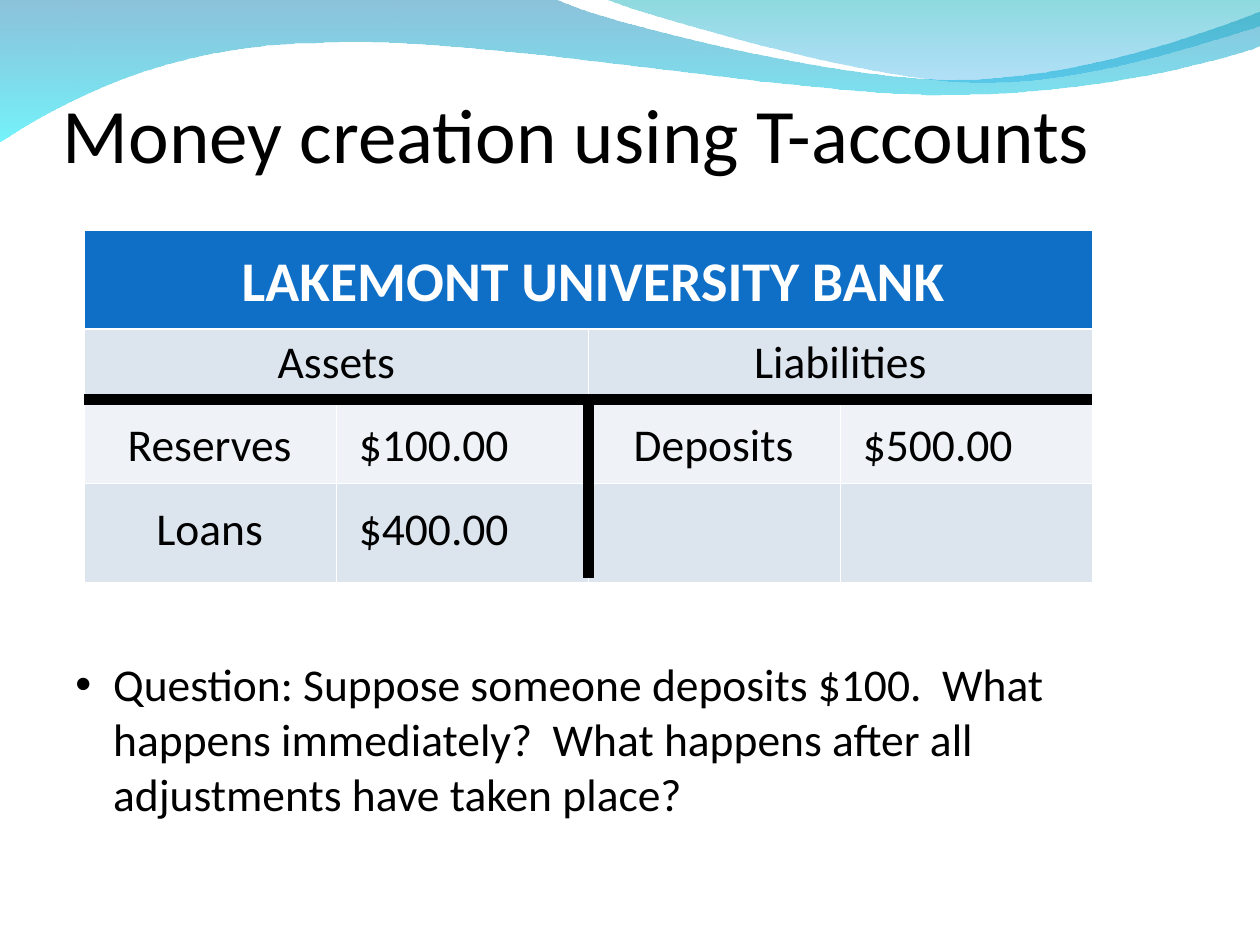
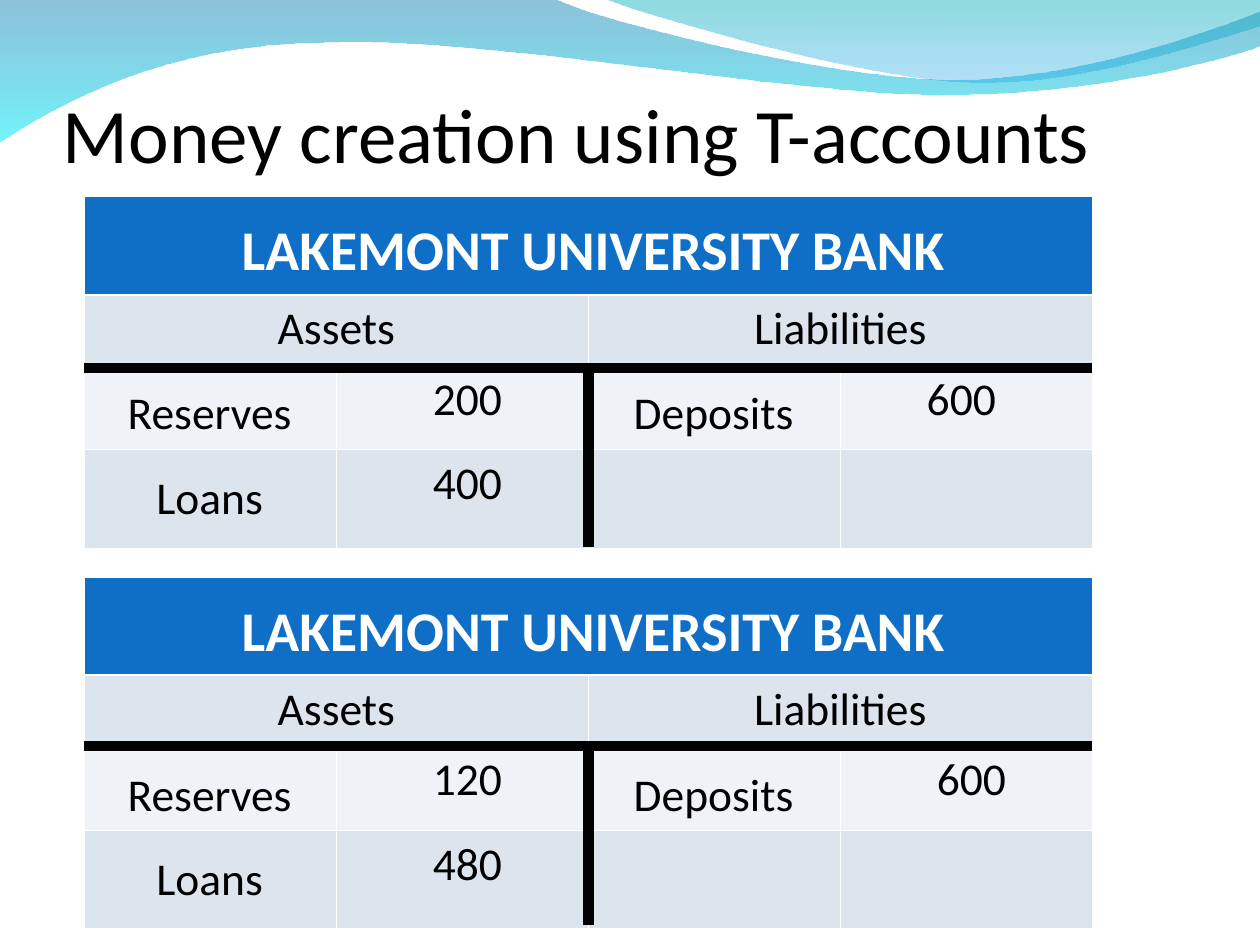
from lxml import etree
from pptx import Presentation
from pptx.dml.color import RGBColor
from pptx.enum.shapes import MSO_CONNECTOR
from pptx.enum.text import MSO_ANCHOR, PP_ALIGN
from pptx.oxml.ns import qn
from pptx.util import Inches, Pt

LEFT, CENTER = PP_ALIGN.LEFT, PP_ALIGN.CENTER
TOP, BOTTOM = MSO_ANCHOR.TOP, MSO_ANCHOR.BOTTOM
STRAIGHT = MSO_CONNECTOR.STRAIGHT

BLACK = RGBColor(0x00, 0x00, 0x00)
WHITE = RGBColor(0xFF, 0xFF, 0xFF)
HEADER_BLUE = RGBColor(0x0F, 0x6F, 0xC6)
BAND_DARK = RGBColor(0xDC, 0xE5, 0xEE)
BAND_LIGHT = RGBColor(0xEF, 0xF3, 0xF7)
FONT = "Calibri"
BODY_SIZE = 26

TITLE = "Money creation using T-accounts"
BANK = "LAKEMONT UNIVERSITY BANK"
QUESTION = (
    "Question: Suppose someone deposits $100.  What happens immediately?  "
    "What happens after all adjustments have taken place?"
)
ENTRY_LABELS = [("Reserves", 0, 0), ("Loans", 0, 1), ("Deposits", 2, 0)]

SLIDES = [
    {
        "accounts": [
            {
                "table_top": 1.83, "rule_top": 3.17, "label_top": 3.25,
                "overlay_amounts": [("$100.00", 1, 0), ("$400.00", 1, 1), ("$500.00", 3, 0)],
            },
        ],
        "question": QUESTION,
    },
    {
        "accounts": [
            {
                "table_top": 1.56, "rule_top": 2.92, "label_top": 3.0,
                "cell_amounts": [("200", 1, 0, 0.04), ("400", 1, 1, 0.04), ("600", 3, 0, -0.04)],
            },
            {
                "table_top": 4.58, "rule_top": 5.92, "label_top": 6.03,
                "cell_amounts": [("120", 1, 0, 0.04), ("480", 1, 1, 0.04), ("600", 3, 0, 0.04)],
            },
        ],
    },
]

TABLE_LEFT, COLUMN_WIDTH, COLUMN_COUNT = 0.67, 2, 4
ROW_HEIGHTS = [0.78, 0.56, 0.67, 0.78]
ROW_FILLS = [HEADER_BLUE, BAND_DARK, BAND_LIGHT, BAND_DARK]
THIN, THICK = 0.45, 1.47
RULE_LENGTH = 1.42
CELL_MARGIN = 0.1

WAVES = [
    {
        "start": (0, -0.01),
        "segments": [
            [(4.4, -0.01)],
            [(4.76, 0.17), (6.64, 0.63), (7.58, 0.63)],
            [(8.53, 0.63), (9.58, 0.26), (10, 0.09)],
            [(10.01, 0.36)],
            [(9.83, 0.44), (8.7, 0.76), (7.46, 0.75)],
            [(6.22, 0.75), (3.82, 0.28), (2.57, 0.34)],
            [(1.29, 0.35), (0.46, 0.83), (-0.01, 1.13)],
        ],
        "stops": [(RGBColor(0x00, 0x79, 0xAF), 45), (RGBColor(0x00, 0xEB, 0xF8), 55)],
    },
    {
        "start": (4.79, -0.01),
        "segments": [
            [(5.09, 0.11), (6.82, 0.62), (7.69, 0.65)],
            [(8.56, 0.69), (9.61, 0.32), (10, 0.21)],
            [(10, 0)],
        ],
        "stops": [(RGBColor(0x00, 0xAD, 0xB6), 45), (RGBColor(0x00, 0x9B, 0xE5), 30)],
    },
]


def bend_segments(shape, segments):
    lines = list(shape._element.spPr.iter(qn("a:lnTo")))
    for line, segment in zip(lines, segments):
        if len(segment) == 1:
            continue
        curve = etree.Element(qn("a:cubicBezTo"))
        for x, y in segment:
            etree.SubElement(curve, qn("a:pt"), x=str(Inches(x) - shape.left),
                             y=str(Inches(y) - shape.top))
        line.getparent().replace(line, curve)


def add_wave(slide, wave):
    builder = slide.shapes.build_freeform(*map(Inches, wave["start"]))
    ends = [(Inches(x), Inches(y)) for *_, (x, y) in wave["segments"]]
    builder.add_line_segments(ends, close=True)
    shape = builder.convert_to_shape()
    bend_segments(shape, wave["segments"])
    shape.shadow.inherit = False
    shape.line.fill.background()
    shape.fill.gradient()
    shape.fill.gradient_angle = 270
    for stop, (color, _) in zip(shape.fill.gradient_stops, wave["stops"]):
        stop.color.rgb = color
    colors = shape._element.spPr.iter(qn("a:srgbClr"))
    for color_element, (_, opacity) in zip(colors, wave["stops"]):
        etree.SubElement(color_element, qn("a:alpha"), val=str(opacity * 1000))


def write_text(text_frame, text, size=BODY_SIZE, color=BLACK, bold=False, align=LEFT):
    text_frame.text = text
    paragraph = text_frame.paragraphs[0]
    paragraph.alignment = align
    font = paragraph.runs[0].font
    font.name, font.size, font.bold = FONT, Pt(size), bold
    font.color.rgb = color
    return paragraph


def add_text(slide, text, left, top, width, height, anchor=TOP, **style):
    box = slide.shapes.add_textbox(Inches(left), Inches(top), Inches(width), Inches(height))
    text_frame = box.text_frame
    text_frame.word_wrap = True
    text_frame.vertical_anchor = anchor
    return text_frame, write_text(text_frame, text, **style)


def add_title(slide):
    text_frame, _ = add_text(slide, TITLE, 0.5, 0.77, 9, 0.65, anchor=BOTTOM, size=44)
    text_frame.margin_left = text_frame.margin_right = text_frame.margin_bottom = 0


def add_question(slide, question):
    text_frame, paragraph = add_text(slide, question, 0.5, 1.5, 9, 5.42)
    text_frame.margin_top = Inches(3.71)
    properties = paragraph._p.get_or_add_pPr()
    properties.set("marL", str(Inches(0.3)))
    properties.set("indent", str(-Inches(0.3)))
    etree.SubElement(properties, qn("a:buFont"), typeface="Arial")
    etree.SubElement(properties, qn("a:buChar"), char="•")


def set_borders(cell, row):
    widths = {
        "a:lnL": THIN,
        "a:lnR": THIN,
        "a:lnT": THICK if row == 1 else THIN,
        "a:lnB": THICK if row == 0 else THIN,
    }
    properties = cell._tc.get_or_add_tcPr()
    for position, (tag, width) in enumerate(widths.items()):
        line = etree.Element(qn(tag), w=str(Pt(width)))
        fill = etree.SubElement(line, qn("a:solidFill"))
        etree.SubElement(fill, qn("a:srgbClr"), val=str(WHITE))
        properties.insert(position, line)


def add_account_table(slide, account):
    frame = slide.shapes.add_table(
        len(ROW_HEIGHTS), COLUMN_COUNT, Inches(TABLE_LEFT), Inches(account["table_top"]),
        Inches(COLUMN_WIDTH * COLUMN_COUNT), Inches(sum(ROW_HEIGHTS)),
    )
    table = frame.table
    table.first_row = table.horz_banding = False
    for row, (height, color) in enumerate(zip(ROW_HEIGHTS, ROW_FILLS)):
        table.rows[row].height = Inches(height)
        for column in range(COLUMN_COUNT):
            cell = table.cell(row, column)
            cell.fill.solid()
            cell.fill.fore_color.rgb = color
            set_borders(cell, row)
    table.cell(0, 0).merge(table.cell(0, 3))
    for heading, column in (("Assets", 0), ("Liabilities", 2)):
        table.cell(1, column).merge(table.cell(1, column + 1))
        write_text(table.cell(1, column).text_frame, heading, align=CENTER)
    for amount, column, entry, shift in account.get("cell_amounts", []):
        cell = table.cell(entry + 2, column)
        cell.margin_left = Inches(CELL_MARGIN + shift)
        cell.margin_right = Inches(CELL_MARGIN - shift)
        write_text(cell.text_frame, amount, align=CENTER)


def add_overlay_entries(slide, account, entries, align):
    for text, column, entry in entries:
        left = 0.75 + column * COLUMN_WIDTH
        top = account["label_top"] + entry * ROW_HEIGHTS[2]
        add_text(slide, text, left, top, 1.83, 0.54, align=align)


def add_rule(slide, start, end):
    connector = slide.shapes.add_connector(STRAIGHT, *map(Inches, start + end))
    connector.line.color.rgb = BLACK
    connector.line.width = Pt(6)
    etree.SubElement(connector._element.spPr, qn("a:effectLst"))


def add_account(slide, account):
    add_account_table(slide, account)
    add_overlay_entries(slide, account, account.get("overlay_amounts", []), LEFT)
    add_overlay_entries(slide, account, ENTRY_LABELS, CENTER)
    add_text(slide, BANK, 0.92, account["label_top"] - 1.35, 7.58, 1.17,
             size=32, color=WHITE, bold=True, align=CENTER)
    rule_top = account["rule_top"]
    table_width = COLUMN_WIDTH * COLUMN_COUNT
    middle = TABLE_LEFT + table_width / 2
    add_rule(slide, (TABLE_LEFT, rule_top), (TABLE_LEFT + table_width, rule_top))
    add_rule(slide, (middle, rule_top), (middle, rule_top + RULE_LENGTH))


def main():
    presentation = Presentation()
    presentation.slide_width = Inches(10)
    presentation.slide_height = Inches(7.5)
    for content in SLIDES:
        slide = presentation.slides.add_slide(presentation.slide_layouts[6])
        for wave in WAVES:
            add_wave(slide, wave)
        add_title(slide)
        if "question" in content:
            add_question(slide, content["question"])
        for account in content["accounts"]:
            add_account(slide, account)
    presentation.save("out.pptx")


if __name__ == "__main__":
    main()
